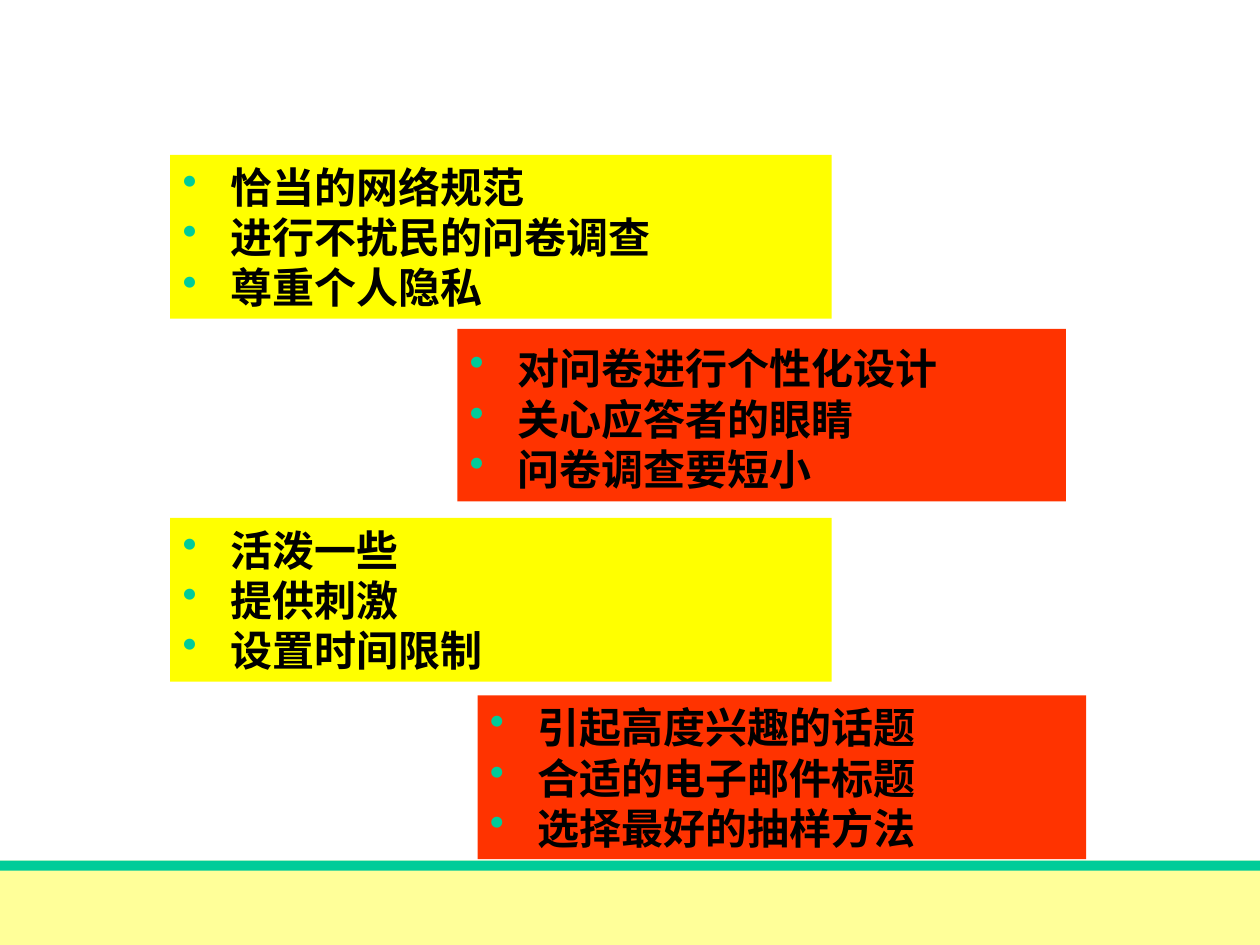
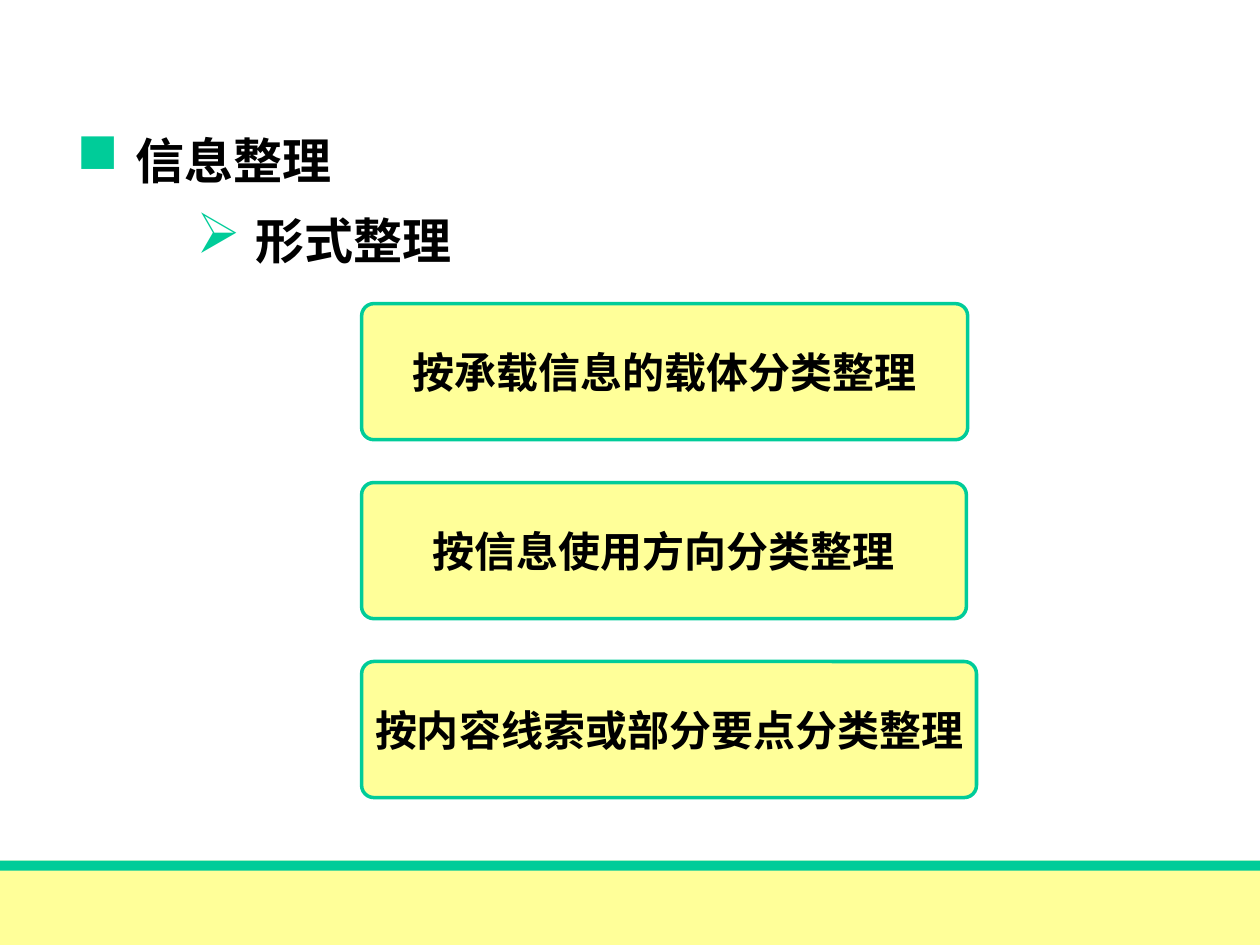
from dataclasses import dataclass

from lxml import etree
from pptx import Presentation
from pptx.dml.color import RGBColor
from pptx.enum.shapes import MSO_SHAPE
from pptx.enum.text import MSO_ANCHOR, PP_ALIGN
from pptx.oxml.ns import qn
from pptx.util import Inches, Pt

RECTANGLE = MSO_SHAPE.RECTANGLE
ROUNDED = MSO_SHAPE.ROUNDED_RECTANGLE
TOP, MIDDLE = MSO_ANCHOR.TOP, MSO_ANCHOR.MIDDLE
LEFT, CENTER = PP_ALIGN.LEFT, PP_ALIGN.CENTER


@dataclass(frozen=True)
class Theme:
    font: str = "Times New Roman"
    ink: str = "000000"
    accent: str = "00CC99"
    cream: str = "FFFF99"
    yellow: str = "FFFF00"
    red: str = "FF3300"
    heading_size: int = 28
    body_size: int = 24
    outline: int = 2


THEME = Theme()
SLIDE_SIZE = (10, 7.5)
BAND_TOP, STRIPE_HEIGHT = 6.83, 0.08

# (left, top, width, height), fill, top inset, lines
SURVEY_TIPS = [
    ((1.35, 1.23, 5.25, 1.3), THEME.yellow, 0.05,
     ["恰当的网络规范", "进行不扰民的问卷调查", "尊重个人隐私"]),
    ((3.63, 2.61, 4.83, 1.37), THEME.red, 0.11,
     ["对问卷进行个性化设计", "关心应答者的眼睛", "问卷调查要短小"]),
    ((1.35, 4.11, 5.25, 1.3), THEME.yellow, 0.05,
     ["活泼一些", "提供刺激", "设置时间限制"]),
    ((3.79, 5.52, 4.83, 1.3), THEME.red, 0.05,
     ["引起高度兴趣的话题", "合适的电子邮件标题", "选择最好的抽样方法"]),
]
TIP_INDENT = 0.38

# left, top, bullet, text
HEADINGS = [(0.51, 0.99, "■", "信息整理"), (1.46, 1.62, "➢", "形式整理")]
HEADING_SIZE = (7.33, 0.94)
HEADING_INDENT = 0.47

# text, width
SORTING_METHODS = [
    ("按承载信息的载体分类整理", 4.81),
    ("按信息使用方向分类整理", 4.8),
    ("按内容线索或部分要点分类整理", 4.88),
]
METHOD_LEFT, METHOD_TOP, METHOD_HEIGHT, METHOD_STEP = 2.87, 2.41, 1.08, 1.42


def color(value):
    return RGBColor.from_string(value)


def add_box(page, kind, area, fill, line=None):
    box = page.shapes.add_shape(kind, *map(Inches, area))
    box.shadow.inherit = False
    box.fill.solid()
    box.fill.fore_color.rgb = color(fill)
    if line:
        box.line.color.rgb = color(line)
        box.line.width = Pt(THEME.outline)
    else:
        box.line.fill.background()
    return box


def add_bullet(para, char, indent, percent):
    properties = para._p.get_or_add_pPr()
    properties.set("marL", str(Inches(indent)))
    properties.set("indent", str(-Inches(indent)))
    tint = etree.SubElement(properties, qn("a:buClr"))
    etree.SubElement(tint, qn("a:srgbClr"), val=THEME.accent)
    etree.SubElement(properties, qn("a:buSzPct"), val=str(percent * 1000))
    etree.SubElement(properties, qn("a:buChar"), char=char)


def write(box, lines, size, anchor=TOP, align=LEFT, wrap=True, bullet=None):
    """Fill a box with bold lines; bullet is (character, indent, percent)."""
    frame = box.text_frame
    frame.word_wrap = wrap
    frame.vertical_anchor = anchor
    for index, line in enumerate(lines):
        para = frame.add_paragraph() if index else frame.paragraphs[0]
        para.text = line
        para.alignment = align
        if bullet:
            add_bullet(para, *bullet)
        para.font.name = THEME.font
        para.font.size = Pt(size)
        para.font.bold = True
        para.font.color.rgb = color(THEME.ink)


def add_page(deck):
    """Add a blank slide with the shared bottom band."""
    page = deck.slides.add_slide(deck.slide_layouts[6])
    width, height = SLIDE_SIZE
    add_box(page, RECTANGLE, (0, BAND_TOP, width, height - BAND_TOP), THEME.cream)
    add_box(page, RECTANGLE, (0, BAND_TOP, width, STRIPE_HEIGHT), THEME.accent)
    return page


def build_survey_tips(deck):
    page = add_page(deck)
    for area, fill, inset, lines in SURVEY_TIPS:
        box = add_box(page, RECTANGLE, area, fill)
        box.text_frame.margin_top = Inches(inset)
        write(box, lines, THEME.body_size, bullet=("•", TIP_INDENT, 100))


def build_sorting_methods(deck):
    page = add_page(deck)
    for left, top, char, text in HEADINGS:
        box = page.shapes.add_textbox(*map(Inches, (left, top, *HEADING_SIZE)))
        write(box, [text], THEME.heading_size, bullet=(char, HEADING_INDENT, 115))
    for index, (text, width) in enumerate(SORTING_METHODS):
        area = (METHOD_LEFT, METHOD_TOP + index * METHOD_STEP, width, METHOD_HEIGHT)
        box = add_box(page, ROUNDED, area, THEME.cream, THEME.accent)
        box.adjustments[0] = 0.09
        write(box, [text], THEME.body_size, MIDDLE, CENTER, wrap=False)


def main():
    deck = Presentation()
    deck.slide_width, deck.slide_height = map(Inches, SLIDE_SIZE)
    build_survey_tips(deck)
    build_sorting_methods(deck)
    deck.save("out.pptx")


if __name__ == "__main__":
    main()
